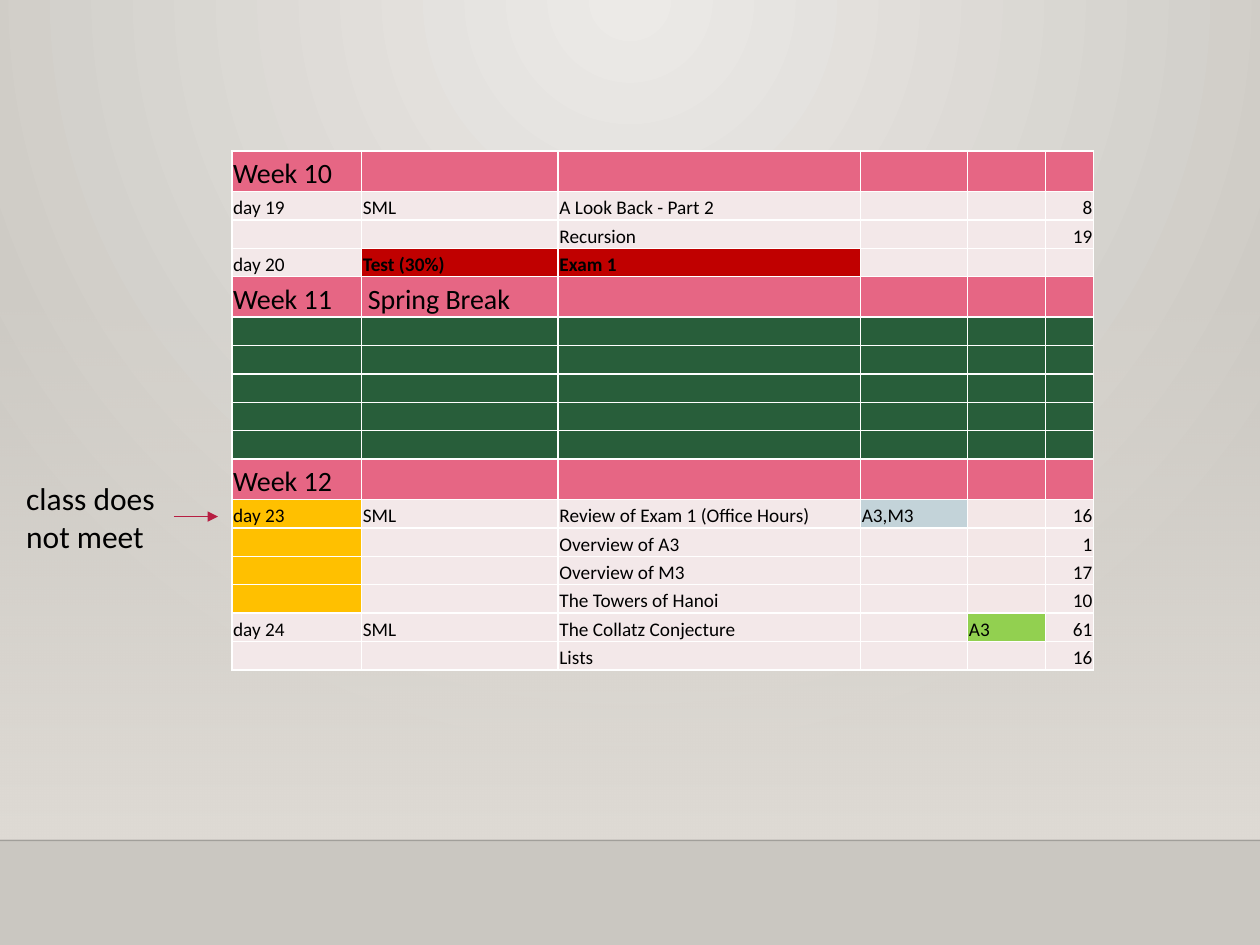
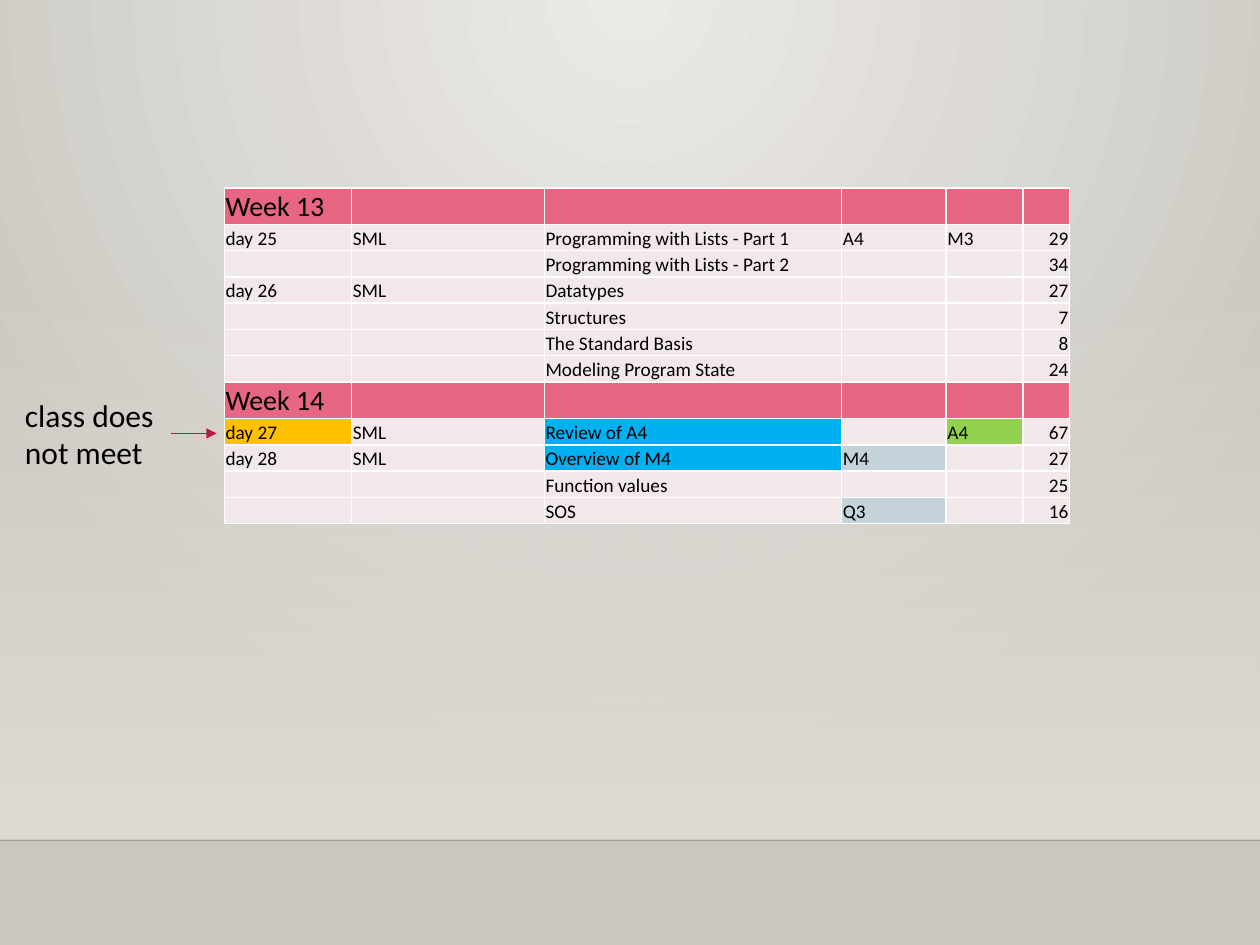
"""Build two course schedule slides with week tables and class notes."""
from lxml import etree
from pptx import Presentation
from pptx.dml.color import RGBColor
from pptx.enum.shapes import MSO_CONNECTOR, MSO_SHAPE
from pptx.enum.text import MSO_ANCHOR, PP_ALIGN
from pptx.oxml import parse_xml
from pptx.oxml.ns import nsdecls, qn
from pptx.util import Inches, Pt

STRAIGHT = MSO_CONNECTOR.STRAIGHT
RECTANGLE = MSO_SHAPE.RECTANGLE
BOTTOM = MSO_ANCHOR.BOTTOM
LEFT, RIGHT = PP_ALIGN.LEFT, PP_ALIGN.RIGHT

FONT = "Calibri"
WHITE, BLACK, CRIMSON = "FFFFFF", "000000", "B71E42"
HEADING, BODY, BLUSH, BREAK = "E66684", "F3E8E9", "F3E7E7", "285E3A"
EXAM, NO_CLASS, ASSIGNED, DUE, REVIEW = "C00000", "FFC000", "C3D3D9", "92D050", "00B0F0"


def rgb(value):
    return RGBColor.from_string(value)


def write(paragraph, text, size=11, bold=False, align=LEFT):
    paragraph.alignment = align
    if not text:
        paragraph._p.append(parse_xml(f'<a:endParaRPr {nsdecls("a")} sz="{size * 100}"/>'))
        return
    span = paragraph.add_run()
    span.text = text
    span.font.name = FONT
    span.font.size = Pt(size)
    span.font.bold = bold
    span.font.color.rgb = rgb(BLACK)


exam_weeks = {
    "left": 1.84, "top": 1.2, "height": 4.12, "heading_height": 0.32,
    "columns": [1.03, 1.56, 2.4, 0.85, 0.62, 0.38],
    "rows": [
        "Week 10|||||",
        "day 19|SML|A Look Back - Part 2|||8",
        "||Recursion|||19",
        "day 20|Test (30%)|Exam 1|||",
        "Week 11|Spring Break||||",
        *["|||||"] * 5,
        "Week 12|||||",
        "day 23|SML|Review of Exam 1 (Office Hours)|A3,M3||16",
        "||Overview of A3|||1",
        "||Overview of M3|||17",
        "||The Towers of Hanoi|||10",
        "day 24|SML|The Collatz Conjecture||A3|61",
        "||Lists|||16",
    ],
    "fills": {
        (3, 1): EXAM, (3, 2): EXAM, (11, 3): ASSIGNED, (15, 4): DUE,
        **{(row, 0): NO_CLASS for row in range(11, 15)},
        **{(row, 4): BLUSH for row in range(11, 15)},
        **{(row, column): BREAK for row in range(5, 10) for column in range(6)},
    },
    "note": (0.11, 3.75), "arrow": (1.38, 1.73, 4.1),
}
list_weeks = {
    "left": 1.78, "top": 1.49, "height": 2.67, "heading_height": 0.29,
    "columns": [1.01, 1.53, 2.36, 0.83, 0.61, 0.37],
    "rows": [
        "Week 13|||||",
        "day 25|SML|Programming with Lists - Part 1|A4|M3|29",
        "||Programming with Lists - Part 2|||34",
        "day 26|SML|Datatypes|||27",
        "||Structures|||7",
        "||The Standard Basis|||8",
        "||Modeling Program State|||24",
        "Week 14|||||",
        "day 27|SML|Review of A4||A4|67",
        "day 28|SML|Overview of M4|M4||27",
        "||Function values|||25",
        "||SOS|Q3||16",
    ],
    "fills": {
        (8, 0): NO_CLASS, (8, 2): REVIEW, (8, 4): DUE,
        (9, 2): REVIEW, (9, 3): ASSIGNED, (11, 3): ASSIGNED,
    },
    "note": (0.1, 3.09), "arrow": (1.36, 1.72, 3.44),
}

deck = Presentation()
deck.slide_width, deck.slide_height = Inches(10), Inches(7.5)

for schedule in (exam_weeks, list_weeks):
    page = deck.slides.add_slide(deck.slide_layouts[6])

    backdrop = page.background.fill
    backdrop.gradient()
    for stop, colour in zip(backdrop.gradient_stops, ("ECEAE7", "CAC7C1")):
        stop.color.rgb = rgb(colour)
    linear = next(page.element.iter(qn("a:lin")))
    linear.getparent().replace(linear, parse_xml(
        f'<a:path {nsdecls("a")} path="circle"><a:fillToRect l="43000" r="43000" b="100000"/></a:path>'))

    wall = page.shapes.add_shape(RECTANGLE, 0, Inches(2.2), Inches(10), Inches(4.46))
    wall.shadow.inherit = False
    wall.line.fill.background()
    wall.fill.gradient()
    wall.fill.gradient_angle = 270
    for stop in wall.fill.gradient_stops:
        stop.color.rgb = rgb("DFDBD5")
    etree.SubElement(next(wall._element.spPr.iter(qn("a:srgbClr"))), qn("a:alpha"), val="0")

    start, end, level = schedule["arrow"]
    connectors = []
    for x1, x2, y, colour, width in ((0, 10, 6.67, "000001", 1), (start, end, level, CRIMSON, 0.75)):
        connector = page.shapes.add_connector(STRAIGHT, Inches(x1), Inches(y), Inches(x2), Inches(y))
        connector.line.color.rgb = rgb(colour)
        connector.line.width = Pt(width)
        etree.SubElement(connector._element.spPr, qn("a:effectLst"))
        connectors.append(connector)
    floor_line, arrow = connectors
    etree.SubElement(next(floor_line._element.spPr.iter(qn("a:srgbClr"))), qn("a:alpha"), val="20000")
    etree.SubElement(arrow.line._get_or_add_ln(), qn("a:tailEnd"), type="triangle")

    rows, columns = schedule["rows"], schedule["columns"]
    table = page.shapes.add_table(
        len(rows), len(columns), Inches(schedule["left"]), Inches(schedule["top"]),
        Inches(sum(columns)), Inches(schedule["height"])).table
    table.first_row = table.horz_banding = False
    for column, width in zip(table.columns, columns):
        column.width = Inches(width)

    week_count = sum(row.startswith("Week") for row in rows)
    heading_height = schedule["heading_height"]
    body_height = (schedule["height"] - week_count * heading_height) / (len(rows) - week_count)

    for row_index, row in enumerate(rows):
        is_week = row.startswith("Week")
        table.rows[row_index].height = Inches(heading_height if is_week else body_height)
        for column_index, text in enumerate(row.split("|")):
            cell = table.cell(row_index, column_index)
            colour = schedule["fills"].get((row_index, column_index), HEADING if is_week else BODY)
            cell.fill.solid()
            cell.fill.fore_color.rgb = rgb(colour)
            cell.vertical_anchor = BOTTOM
            cell.margin_left = Inches(0.05 if text == "Spring Break" else 0.01)
            cell.margin_right = cell.margin_top = Inches(0.01)
            cell.margin_bottom = 0
            write(cell.text_frame.paragraphs[0], text, size=16 if is_week and text else 11,
                  bold=colour == EXAM, align=RIGHT if column_index == 5 else LEFT)
            for position, side in enumerate("LRTB"):
                cell._tc.tcPr.insert(position, parse_xml(
                    f'<a:ln{side} {nsdecls("a")} w="12700"><a:solidFill>'
                    f'<a:srgbClr val="{WHITE}"/></a:solidFill></a:ln{side}>'))

    note_left, note_top = schedule["note"]
    box = page.shapes.add_textbox(Inches(note_left), Inches(note_top), Inches(1.26), Inches(0.71))
    box.text_frame.word_wrap = False
    write(box.text_frame.paragraphs[0], "class does", size=18)
    write(box.text_frame.add_paragraph(), "not meet", size=18)

deck.save("out.pptx")
